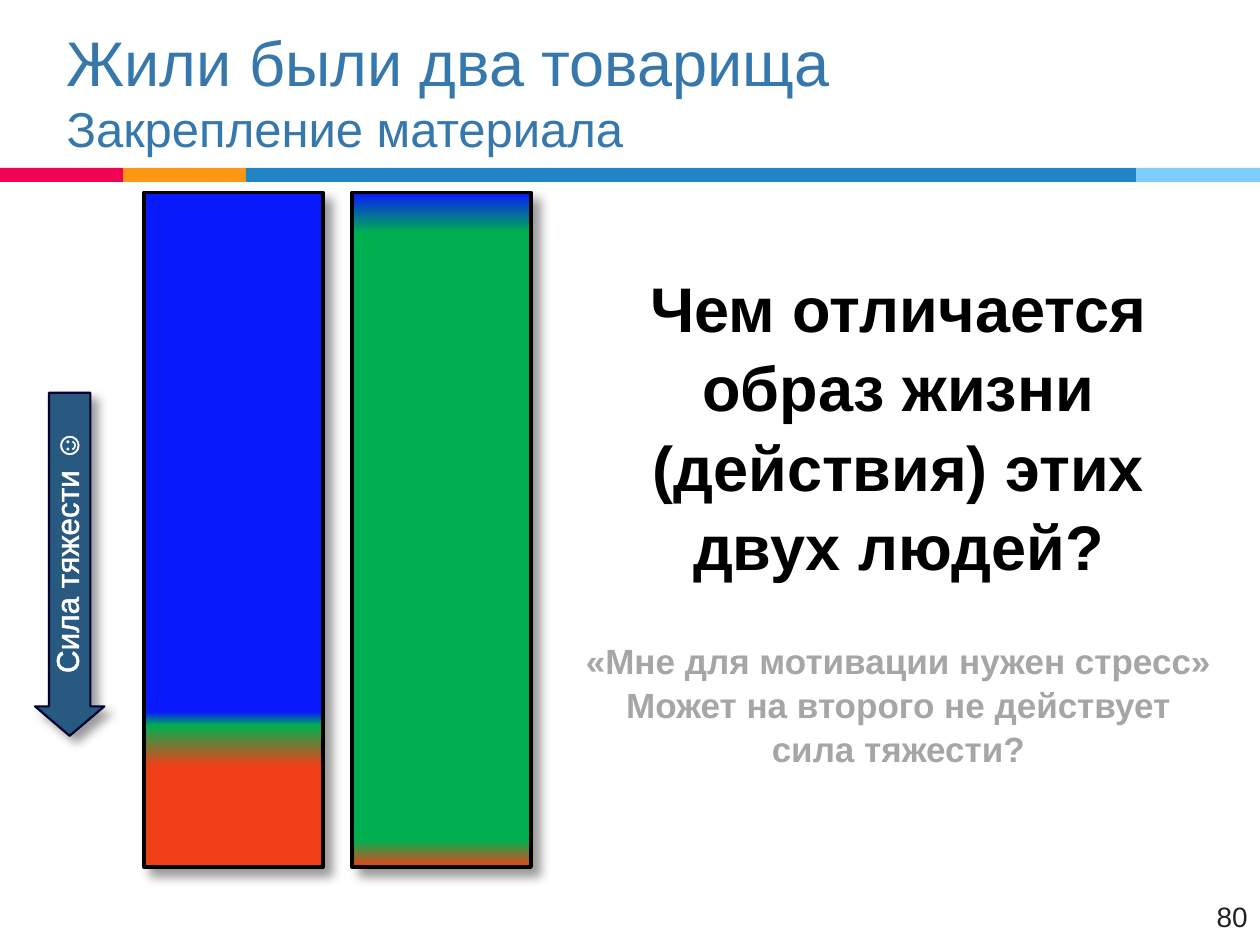
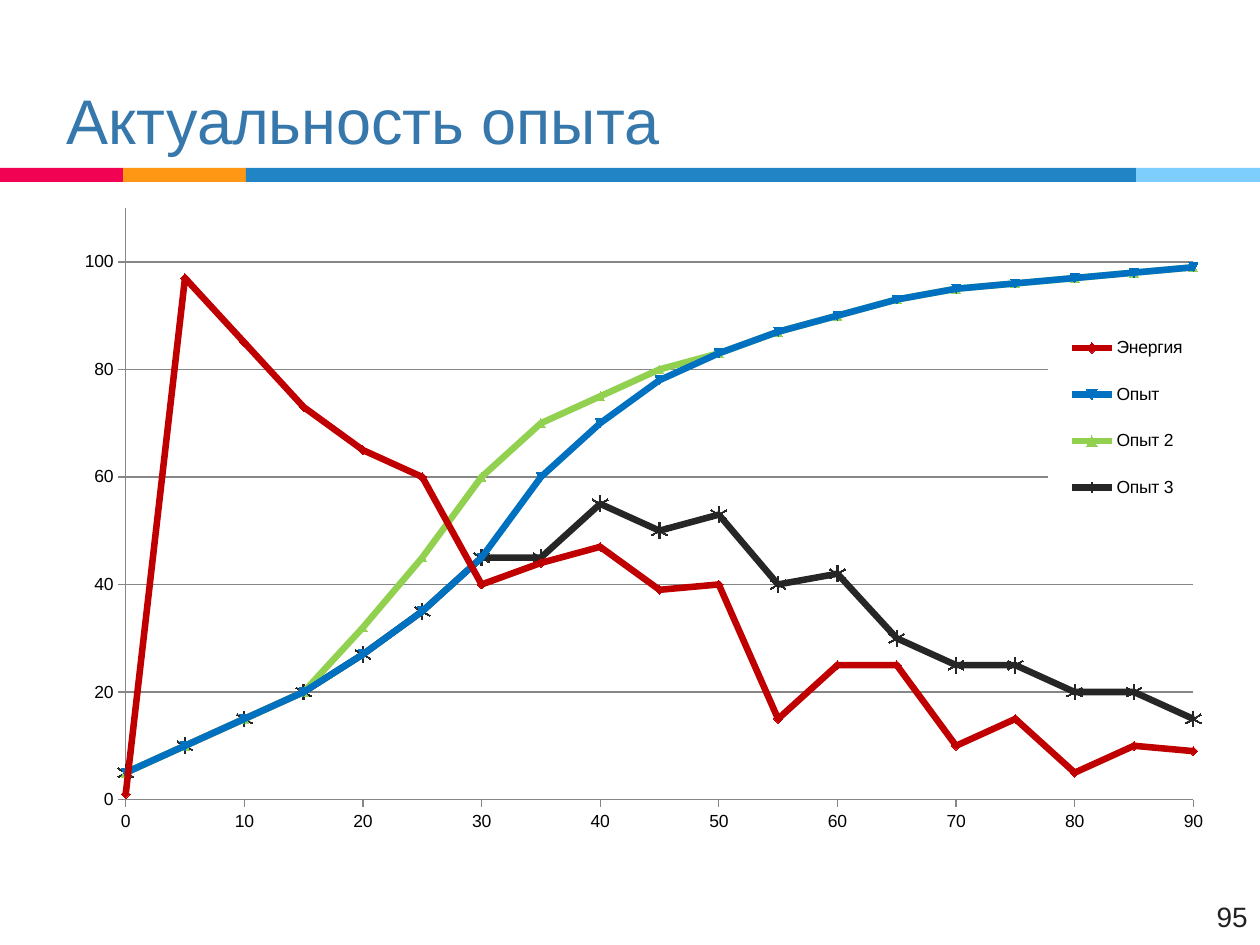
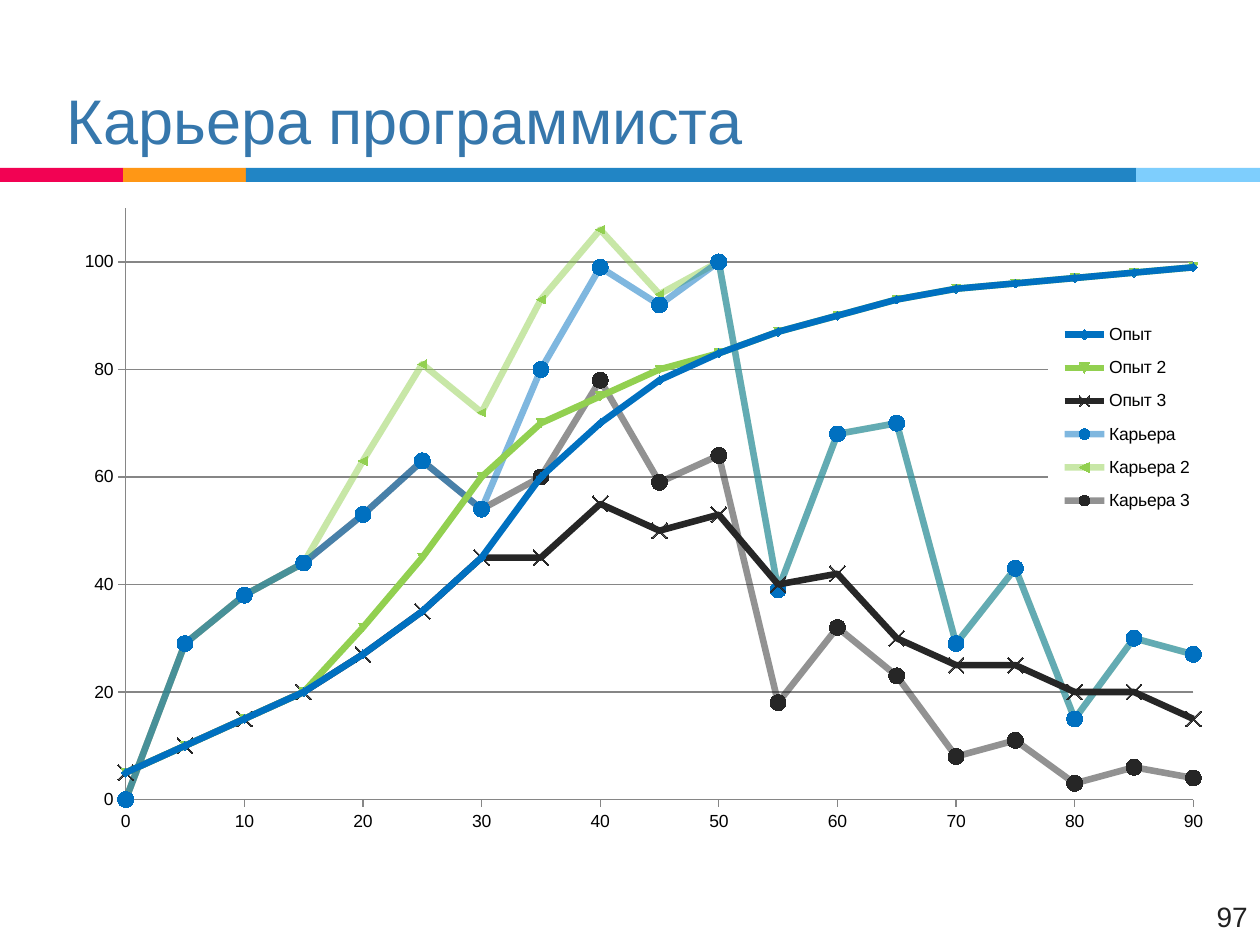
from lxml import etree
from pptx import Presentation
from pptx.chart.data import XyChartData
from pptx.dml.color import RGBColor
from pptx.enum.chart import XL_CHART_TYPE, XL_LEGEND_POSITION, XL_MARKER_STYLE, XL_TICK_MARK
from pptx.enum.shapes import MSO_SHAPE
from pptx.enum.text import MSO_ANCHOR, PP_ALIGN
from pptx.oxml.ns import qn
from pptx.util import Pt

LEFT, CENTER, RIGHT = PP_ALIGN.LEFT, PP_ALIGN.CENTER, PP_ALIGN.RIGHT
TOP, MIDDLE, BOTTOM = MSO_ANCHOR.TOP, MSO_ANCHOR.MIDDLE, MSO_ANCHOR.BOTTOM
RECTANGLE, DOWN_ARROW = MSO_SHAPE.RECTANGLE, MSO_SHAPE.DOWN_ARROW
AUTO, CIRCLE = XL_MARKER_STYLE.AUTOMATIC, XL_MARKER_STYLE.CIRCLE
STAR, CROSS = XL_MARKER_STYLE.STAR, XL_MARKER_STYLE.X
SMOOTH_SCATTER = XL_CHART_TYPE.XY_SCATTER_SMOOTH
LEGEND_RIGHT = XL_LEGEND_POSITION.RIGHT
TICK_OUTSIDE, TICK_NONE = XL_TICK_MARK.OUTSIDE, XL_TICK_MARK.NONE

# Shared style
FONT = "Arial"
TITLE_COLOR, NUMBER_COLOR, AXIS_COLOR = "3677AC", "212121", "868686"
BLACK, WHITE, GRAY = "000000", "FFFFFF", "A6A6A6"
RED, BLUE, GREEN, DARK = "C00000", "0070C0", "92D050", "262626"
BAND_EDGES = [0, 70.4, 140.5, 649.3, 720]
BAND_COLORS = ["F20253", "FF9715", "2185C5", "7ECEFD"]
BAND_TOP, BAND_HEIGHT = 96, 8
TITLE_BOX = (31, 3.6, 600.5, 90)
NUMBER_BOX = (674, 510.5, 46, 24.5)

# Slide about two friends
FRIENDS_TITLE = [("Жили были два товарища", 36), ("Закрепление материала", 28)]
QUESTION_BOX = (326.2, 111.6, 374.4, 368.6)
QUESTION = "Чем отличается образ жизни (действия) этих двух людей?"
REMARK = ["«Мне для мотивации нужен стресс»",
          "Может на второго не действует сила тяжести?"]
MOOD_BLUE, MOOD_GREEN, MOOD_RED = "0819FB", "00B050", "EE3F17"
MOOD_BARS = [
    [(77, MOOD_BLUE), (79, MOOD_GREEN), (85, MOOD_RED)],
    [(0, MOOD_BLUE), (6, MOOD_GREEN), (96, MOOD_GREEN), (100, MOOD_RED)],
]
BAR_LEFT, BAR_TOP, BAR_WIDTH, BAR_HEIGHT, BAR_STEP = 82.2, 110, 102.3, 385.5, 119
GRAVITY_ARROW = (20, 224.5, 39.6, 196)
GRAVITY_BOX = (-51.5, 300.5, 179, 29)
GRAVITY_TEXT = "Сила тяжести ☺"

# Chart slides: name, colour, marker, marker size, opacity in percent, values
CHART_BOX = (31, 111.6, 669, 368.6)
PLOT_LAYOUT = (0.061, 0.02, 0.912, 0.917)
LEGEND_LAYOUT = (0.849, 0.18, 0.135, 0.33)
AGES = range(0, 91, 5)
ENERGY = [1, 97, 85, 73, 65, 60, 40, 44, 47, 39, 40, 15, 25, 25, 10, 15, 5, 10, 9]
EXPERIENCE = [
    [5, 10, 15, 20, 27, 35, 45, 60, 70, 78, 83, 87, 90, 93, 95, 96, 97, 98, 99],
    [5, 10, 15, 20, 32, 45, 60, 70, 75, 80, 83, 87, 90, 93, 95, 96, 97, 98, 99],
    [5, 10, 15, 20, 27, 35, 45, 45, 55, 50, 53, 40, 42, 30, 25, 25, 20, 20, 15],
]
CAREER = [
    [0, 29, 38, 44, 53, 63, 54, 80, 99, 92, 100, 39, 68, 70, 29, 43, 15, 30, 27],
    [0, 29, 38, 44, 63, 81, 72, 93, 106, 94, 100, 39, 68, 70, 29, 43, 15, 30, 27],
    [0, 29, 38, 44, 53, 63, 54, 60, 78, 59, 64, 18, 32, 23, 8, 11, 3, 6, 4],
]
STEADY_EXPERIENCE = [("Опыт", BLUE, AUTO, 5, 100, EXPERIENCE[0]),
                     ("Опыт 2", GREEN, AUTO, 5, 100, EXPERIENCE[1])]
CHART_SLIDES = [
    ("Актуальность опыта", 95, [
        ("Энергия", RED, AUTO, 5, 100, ENERGY),
        *STEADY_EXPERIENCE,
        ("Опыт 3", DARK, STAR, 9, 100, EXPERIENCE[2]),
    ]),
    ("Карьера программиста", 97, [
        *STEADY_EXPERIENCE,
        ("Опыт 3", DARK, CROSS, 9, 100, EXPERIENCE[2]),
        ("Карьера", BLUE, CIRCLE, 9, 50, CAREER[0]),
        ("Карьера 2", GREEN, AUTO, 5, 50, CAREER[1]),
        ("Карьера 3", DARK, CIRCLE, 9, 50, CAREER[2]),
    ]),
]


def color(hex_value):
    return RGBColor.from_string(hex_value)


def points(box):
    return [Pt(length) for length in box]


def add_child(parent, tag, **attributes):
    child = etree.SubElement(parent, qn(tag))
    for name, value in attributes.items():
        child.set(name, str(value))
    return child


def paint(fill, hex_value):
    fill.solid()
    fill.fore_color.rgb = color(hex_value)


def set_line(line, hex_value, width):
    paint(line.fill, hex_value)
    line.width = Pt(width)


# Text
def add_text_box(shapes, box, anchor=TOP):
    text_box = shapes.add_textbox(*points(box))
    text_box.text_frame.word_wrap = True
    text_box.text_frame.vertical_anchor = anchor
    return text_box


def add_run(paragraph, text, size, hex_value, bold=False):
    run = paragraph.add_run()
    run.text = text
    run.font.name = FONT
    run.font.size = Pt(size)
    run.font.bold = bold
    run.font.color.rgb = color(hex_value)
    return run


def add_lines(paragraph, lines, hex_value, bold=False):
    for index, (text, size) in enumerate(lines):
        if index:
            paragraph.add_line_break()
        add_run(paragraph, text, size, hex_value, bold)


# Frame common to all slides
def add_slide(presentation, title_lines, number):
    slide = presentation.slides.add_slide(presentation.slide_layouts[6])
    for left, right, hex_value in zip(BAND_EDGES, BAND_EDGES[1:], BAND_COLORS):
        band = slide.shapes.add_shape(
            RECTANGLE, *points((left, BAND_TOP, right - left, BAND_HEIGHT)))
        band.shadow.inherit = False
        paint(band.fill, hex_value)
        band.line.fill.background()
    title = add_text_box(slide.shapes, TITLE_BOX, BOTTOM)
    add_lines(title.text_frame.paragraphs[0], title_lines, TITLE_COLOR)
    paragraph = add_text_box(slide.shapes, NUMBER_BOX).text_frame.paragraphs[0]
    paragraph.alignment = RIGHT
    add_run(paragraph, str(number), 16, NUMBER_COLOR)
    return slide


# Shape effects
def set_gradient(shape, stops):
    properties = shape._element.spPr
    gradient = etree.Element(qn("a:gradFill"), rotWithShape="1")
    stop_list = add_child(gradient, "a:gsLst")
    for percent, hex_value in stops:
        stop = add_child(stop_list, "a:gs", pos=percent * 1000)
        add_child(stop, "a:srgbClr", val=hex_value)
    add_child(gradient, "a:lin", ang=90 * 60000, scaled=0)
    properties.find(qn("a:prstGeom")).addnext(gradient)


def add_shadow(shape, distance):
    shape.shadow.inherit = False
    effects = shape._element.spPr.find(qn("a:effectLst"))
    shadow = add_child(effects, "a:outerShdw", blurRad=Pt(6), dist=Pt(distance),
                       dir=45 * 60000, algn="tl", rotWithShape=0)
    add_child(add_child(shadow, "a:srgbClr", val=BLACK), "a:alpha", val=40000)


def outline_text(run, hex_value, width):
    outline = etree.Element(qn("a:ln"), w=str(Pt(width)))
    add_child(add_child(outline, "a:solidFill"), "a:srgbClr", val=hex_value)
    run.font._element.insert(0, outline)


def add_friends_slide(presentation):
    slide = add_slide(presentation, FRIENDS_TITLE, 80)

    # Question and remark
    frame = add_text_box(slide.shapes, QUESTION_BOX, MIDDLE).text_frame
    question, remark = frame.paragraphs[0], frame.add_paragraph()
    for paragraph in (question, remark):
        paragraph.alignment = CENTER
        paragraph.line_spacing = 1.05
    remark.space_before = Pt(31)
    add_lines(question, [(QUESTION, 36)], BLACK, True)
    add_lines(remark, [(text, 20) for text in REMARK], GRAY, True)

    # Mood bars
    for index, stops in enumerate(MOOD_BARS):
        bar = slide.shapes.add_shape(RECTANGLE, *points(
            (BAR_LEFT + index * BAR_STEP, BAR_TOP, BAR_WIDTH, BAR_HEIGHT)))
        set_gradient(bar, stops)
        set_line(bar.line, BLACK, 2)
        add_shadow(bar, 6)

    # Gravity arrow with its label
    group = slide.shapes.add_group_shape()
    arrow = group.shapes.add_shape(DOWN_ARROW, *points(GRAVITY_ARROW))
    arrow.adjustments[0], arrow.adjustments[1] = 0.598, 0.425
    paint(arrow.fill, "285981")
    set_line(arrow.line, "02022C", 1.25)
    add_shadow(arrow, 5)
    label = add_text_box(group.shapes, GRAVITY_BOX)
    label.rotation = 270
    paragraph = label.text_frame.paragraphs[0]
    paragraph.alignment = CENTER
    outline_text(add_run(paragraph, GRAVITY_TEXT, 18, WHITE), WHITE, 1.45)


# Charts
def set_layout(parent, index, fractions, inner=False):
    layout = parent.find(qn("c:layout"))
    if layout is None:
        layout = etree.Element(qn("c:layout"))
        parent.insert(index, layout)
    manual = add_child(layout, "c:manualLayout")
    if inner:
        add_child(manual, "c:layoutTarget", val="inner")
    for side in "xy":
        add_child(manual, f"c:{side}Mode", val="edge")
    for side, fraction in zip("xywh", fractions):
        add_child(manual, f"c:{side}", val=fraction)


def style_axis(axis, maximum, step, gridlines):
    axis.minimum_scale, axis.maximum_scale = 0, maximum
    axis.major_unit = step
    axis.has_major_gridlines = gridlines
    axis.has_minor_gridlines = False
    axis.major_tick_mark, axis.minor_tick_mark = TICK_OUTSIDE, TICK_NONE
    set_line(axis.format.line, AXIS_COLOR, 0.75)
    if gridlines:
        set_line(axis.major_gridlines.format.line, AXIS_COLOR, 0.75)


def style_series(series, hex_value, marker_style, marker_size, opacity):
    series.smooth = True
    set_line(series.format.line, hex_value, 3.75)
    if opacity < 100:
        line_color = next(series._element.find(qn("c:spPr")).iter(qn("a:srgbClr")))
        add_child(line_color, "a:alpha", val=opacity * 1000)
    marker = series.marker
    marker.style, marker.size = marker_style, marker_size
    paint(marker.format.fill, hex_value)
    set_line(marker.format.line, hex_value, 0.75)


def style_legend(chart):
    chart.has_legend = True
    legend = chart.legend
    legend.position = LEGEND_RIGHT
    legend.include_in_layout = False
    element = legend._element
    set_layout(element, 1, LEGEND_LAYOUT)
    background = etree.Element(qn("c:spPr"))
    add_child(add_child(background, "a:solidFill"), "a:srgbClr", val=WHITE)
    element.find(qn("c:overlay")).addnext(background)


def add_chart_slide(presentation, title, number, lines):
    slide = add_slide(presentation, [(title, 36)], number)
    data = XyChartData()
    for name, *_, values in lines:
        series_data = data.add_series(name)
        for age, value in zip(AGES, values):
            series_data.add_data_point(age, value)
    chart = slide.shapes.add_chart(SMOOTH_SCATTER, *points(CHART_BOX), data).chart
    chart.has_title = False
    chart.font.name, chart.font.size = FONT, Pt(10)
    chart.font.color.rgb = color(BLACK)
    chart.plots[0].vary_by_categories = False
    for series, (_, *style, _) in zip(chart.plots[0].series, lines):
        style_series(series, *style)
    style_axis(chart.category_axis, 90, 10, False)
    style_axis(chart.value_axis, 110, 20, True)
    plot_area = chart._chartSpace.chart.plotArea
    set_layout(plot_area, 0, PLOT_LAYOUT, inner=True)
    style_legend(chart)


def main():
    presentation = Presentation()
    presentation.slide_width, presentation.slide_height = Pt(720), Pt(540)
    add_friends_slide(presentation)
    for title, number, lines in CHART_SLIDES:
        add_chart_slide(presentation, title, number, lines)
    presentation.save("out.pptx")


if __name__ == "__main__":
    main()
